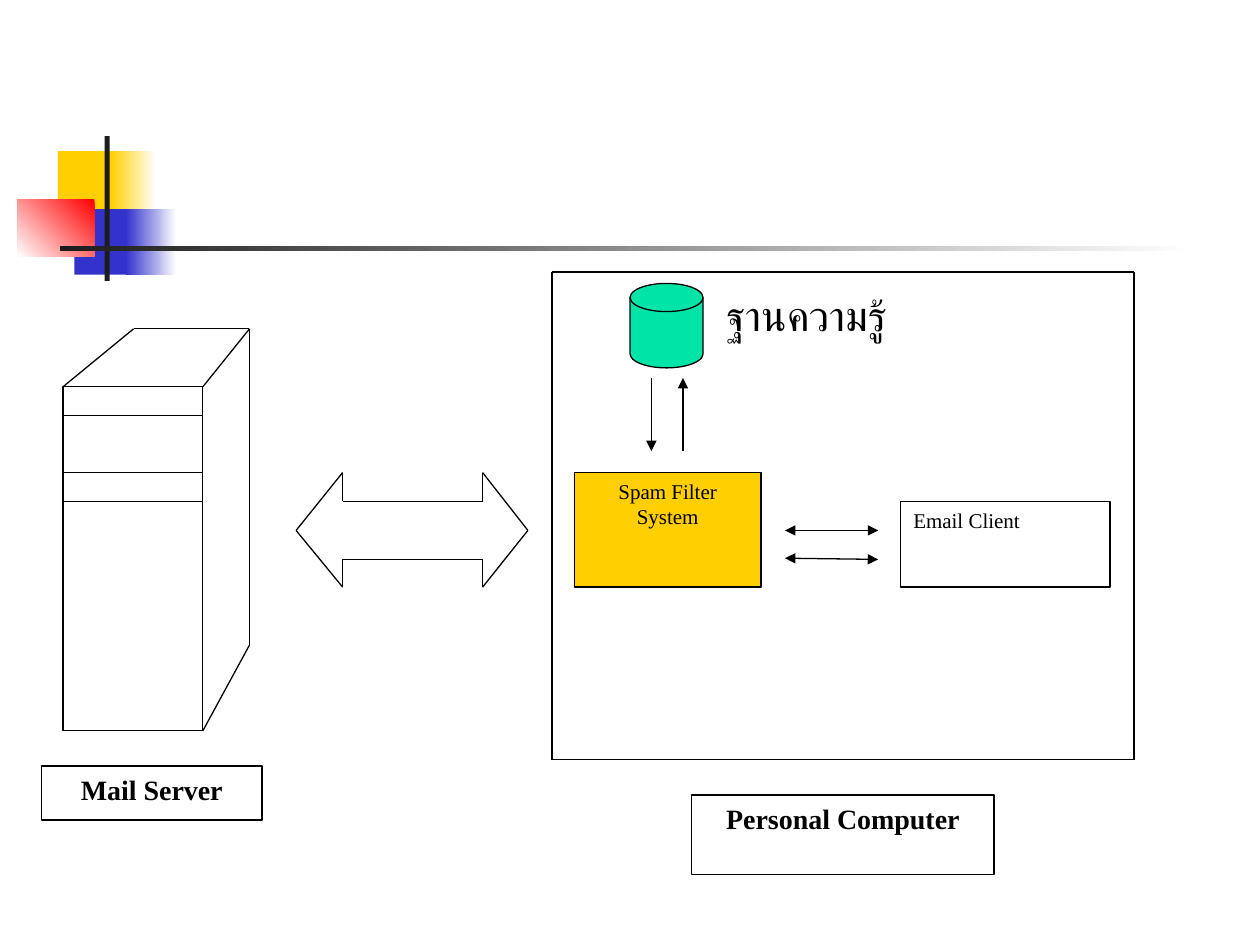
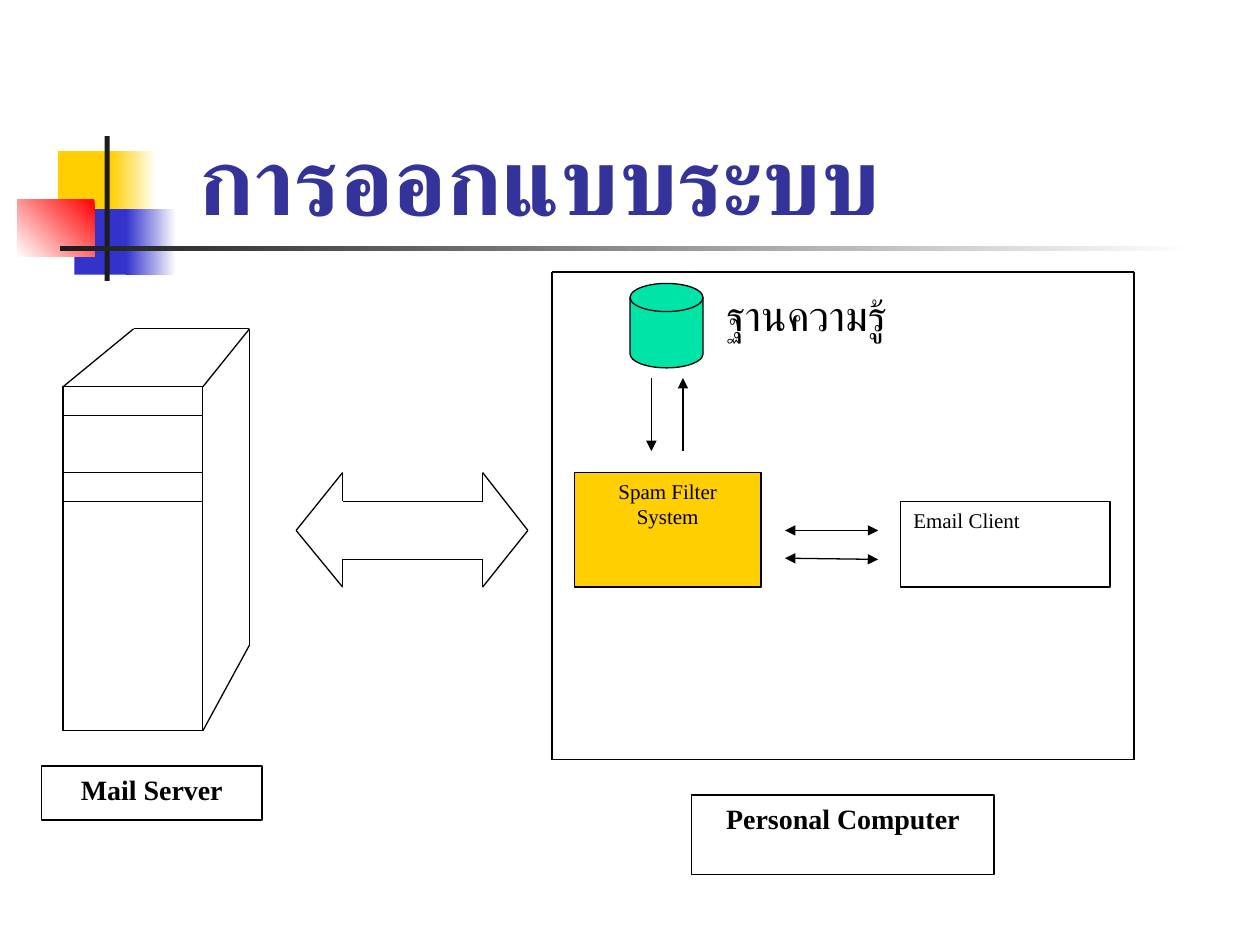
from dataclasses import dataclass
from itertools import pairwise

from lxml import etree
from pptx import Presentation
from pptx import util as u
from pptx.dml.color import RGBColor
from pptx.enum import shapes, text
from pptx.oxml.ns import qn


@dataclass(frozen=True)
class Theme:
    black: str = "000000"
    white: str = "FFFFFF"
    yellow: str = "FFCF01"
    blue: str = "3333CC"
    red: str = "FF0000"
    green: str = "00E4A8"
    dark: str = "1C1C1C"
    title: str = "333399"
    latin_font: str = "Times New Roman"
    note_font: str = "Roboto"
    title_font: str = "Karla"
    title_size: int = 54
    note_size: int = 24
    caption_size: int = 16
    box_size: int = 12
    line_width: float = 0.75


T = Theme()
SHAPE = shapes.MSO_SHAPE
CENTER, LEFT = text.PP_ALIGN.CENTER, text.PP_ALIGN.LEFT

# Content: one title per slide, the diagram is the same on both
TITLES = [None, "การออกแบบระบบ"]
TITLE_AREA = (1.48, 0.83, 8.52, 1.08)

# Title ornament: area, colours (two make a gradient), clockwise angle
ORNAMENT = [
    ((0.46, 1.2, 0.48, 0.52), [T.yellow], 0),
    ((0.88, 1.2, 0.36, 0.52), [T.white, T.yellow], 180),
    ((0.59, 1.66, 0.46, 0.52), [T.blue], 0),
    ((1, 1.66, 0.4, 0.52), [T.white, T.blue], 180),
    ((0.14, 1.58, 0.61, 0.46), [T.red, T.white], 135),
    ((0.83, 1.08, 0.04, 1.15), [T.dark], 0),
    ((0.48, 1.95, 9, 0.04), [T.white, T.dark], 180),
]

# Labelled boxes: words, area, fill, size, bold, alignment
BOXES = [
    ("Personal Computer", (5.49, 6.31, 2.4, 0.63), T.white, T.caption_size, True, CENTER),
    ("Mail Server", (0.33, 6.08, 1.75, 0.43), T.white, T.caption_size, True, CENTER),
    ("Spam Filter System", (4.56, 3.75, 1.48, 0.91), T.yellow, T.box_size, False, CENTER),
    ("Email Client", (7.15, 3.98, 1.66, 0.68), T.white, T.box_size, False, LEFT),
]

# Mail server cabinet
SERVER_FRONT = (0.5, 3.07, 1.11, 2.73)
SERVER_OUTLINE = [(0.5, 3.07), (1.06, 2.61), (1.98, 2.61), (1.98, 5.12), (1.61, 5.8)]
SERVER_EDGE = [(1.61, 3.07), (1.98, 2.61)]
SERVER_SLOTS = [3.3, 3.75, 3.98]

# Computer frame and mail exchange, as closed outlines
COMPUTER = [(4.38, 2.16), (9, 2.16), (9, 6.03), (4.38, 6.03), (4.38, 2.16)]
EXCHANGE = [
    (2.35, 4.21), (2.72, 3.75), (2.72, 3.98), (3.83, 3.98), (3.83, 3.75),
    (4.19, 4.21), (3.83, 4.66), (3.83, 4.44), (2.72, 4.44), (2.72, 4.66),
    (2.35, 4.21),
]

# Knowledge base
KNOWLEDGE_BASE = (5, 2.25, 0.58, 0.67)
KNOWLEDGE_NOTE = ("ฐานความรู้", (5.67, 2.25, 1.92, 0.5))

# Flows: start, end, arrowhead at both ends
FLOWS = [
    ((6.23, 4.21), (6.97, 4.21), True),
    ((6.23, 4.43), (6.97, 4.44), True),
    ((5.17, 3), (5.17, 3.58), False),
    ((5.42, 3.58), (5.42, 3), False),
]


def inches(values):
    return [u.Inches(value) for value in values]


def rgb(code):
    return RGBColor.from_string(code)


def add_preset(slide, kind, area, colours, angle=0, outlined=True):
    shape = slide.shapes.add_shape(kind, *inches(area))
    shape.shadow.inherit = False
    if len(colours) == 1:
        shape.fill.solid()
        shape.fill.fore_color.rgb = rgb(colours[0])
    else:
        shape.fill.gradient()
        shape.fill.gradient_angle = 360 - angle
        for stop, colour in zip(shape.fill.gradient_stops, colours):
            stop.color.rgb = rgb(colour)
    if outlined:
        shape.line.color.rgb = rgb(T.black)
        shape.line.width = u.Pt(T.line_width)
    else:
        shape.line.fill.background()
    return shape


def add_line(slide, start, end, arrowheads=()):
    line = slide.shapes.add_connector(
        shapes.MSO_CONNECTOR.STRAIGHT, *inches(start + end))
    line.line.color.rgb = rgb(T.black)
    line.line.width = u.Pt(T.line_width)
    for side in arrowheads:
        etree.SubElement(line.line._get_or_add_ln(), qn(f"a:{side}"), type="triangle")
    etree.SubElement(line._element.spPr, qn("a:effectLst"))


def add_outline(slide, corners):
    for start, end in pairwise(corners):
        add_line(slide, start, end)


def write(shape, words, font, size, colour=T.black, bold=False,
          align=LEFT, anchor=text.MSO_ANCHOR.TOP):
    frame = shape.text_frame
    frame.text = words
    frame.word_wrap = True
    frame.vertical_anchor = anchor
    paragraph = frame.paragraphs[0]
    paragraph.alignment = align
    for run in paragraph.runs:
        run.font.name = font
        run.font.size = u.Pt(size)
        run.font.bold = bold
        run.font.color.rgb = rgb(colour)
        # Thai letters take the complex-script font
        etree.SubElement(run.font._element, qn("a:cs"), typeface=font)


def draw_ornament(slide):
    for area, colours, angle in ORNAMENT:
        add_preset(slide, SHAPE.RECTANGLE, area, colours, angle, outlined=False)


def draw_server(slide):
    add_preset(slide, SHAPE.RECTANGLE, SERVER_FRONT, [T.white])
    add_outline(slide, SERVER_OUTLINE)
    add_outline(slide, SERVER_EDGE)
    left, _, width, _ = SERVER_FRONT
    for y in SERVER_SLOTS:
        add_line(slide, (left, y), (left + width, y))


def draw_system(slide):
    add_outline(slide, COMPUTER)
    add_outline(slide, EXCHANGE)

    for words, area, fill, size, bold, align in BOXES:
        box = add_preset(slide, SHAPE.RECTANGLE, area, [fill])
        write(box, words, T.latin_font, size, bold=bold, align=align)

    add_preset(slide, SHAPE.FLOWCHART_MAGNETIC_DISK, KNOWLEDGE_BASE, [T.green])
    words, area = KNOWLEDGE_NOTE
    write(slide.shapes.add_textbox(*inches(area)), words, T.note_font, T.note_size)

    for start, end, both_ways in FLOWS:
        add_line(slide, start, end, ("headEnd", "tailEnd") if both_ways else ("tailEnd",))


def main():
    deck = Presentation()
    deck.slide_width, deck.slide_height = inches((10, 7.5))
    for title in TITLES:
        slide = deck.slides.add_slide(deck.slide_layouts[6])
        draw_ornament(slide)
        draw_server(slide)
        draw_system(slide)
        if title:
            write(slide.shapes.add_textbox(*inches(TITLE_AREA)), title, T.title_font,
                  T.title_size, T.title, bold=True, anchor=text.MSO_ANCHOR.BOTTOM)
    deck.save("out.pptx")


if __name__ == "__main__":
    main()
